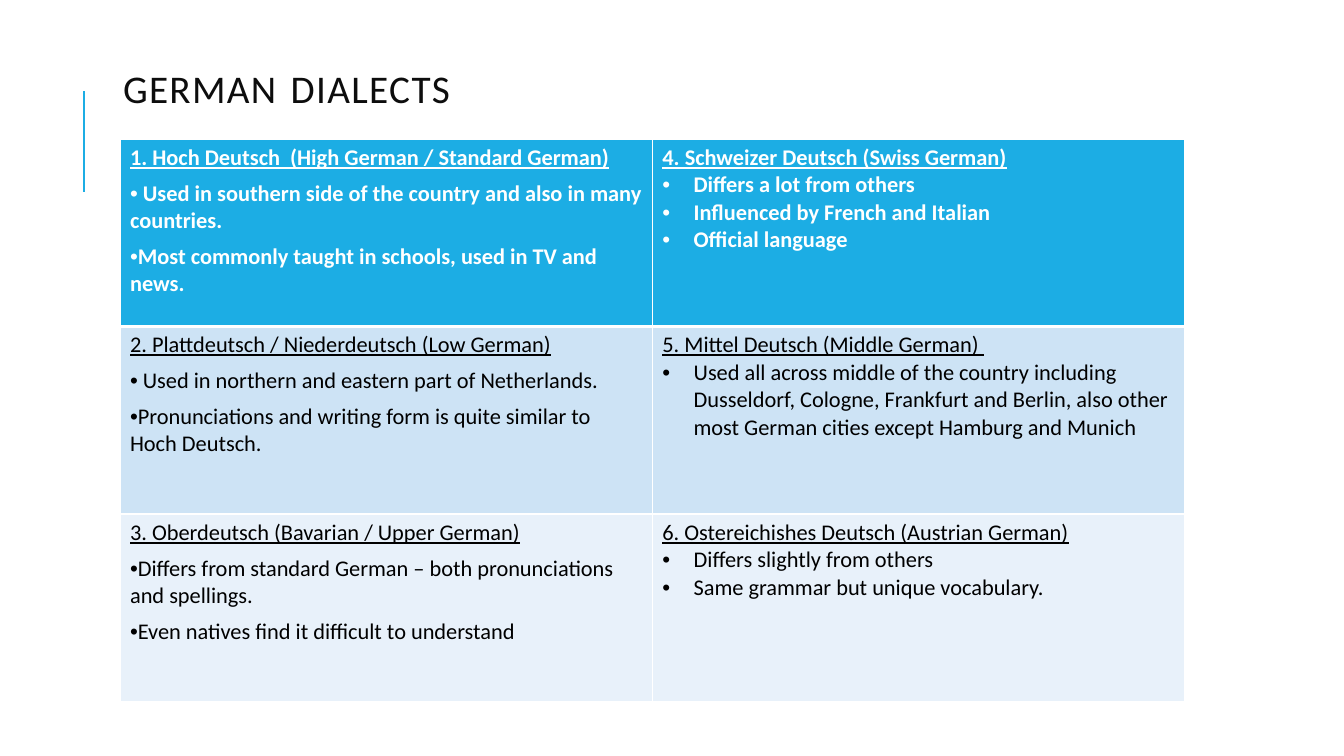
"""Build the slide that compares six German dialects."""
from lxml import etree
from pptx import Presentation
from pptx.dml.color import RGBColor
from pptx.enum.shapes import MSO_CONNECTOR
from pptx.enum.text import MSO_ANCHOR, PP_ALIGN
from pptx.oxml.ns import qn
from pptx.util import Inches, Pt

STRAIGHT = MSO_CONNECTOR.STRAIGHT
MIDDLE = MSO_ANCHOR.MIDDLE
LEFT = PP_ALIGN.LEFT
TITLE_ONLY = 5

TITLE = [("GERMAN", "title"), (" ", "title_gap"), ("DIALECTS", "title")]
DIALECTS = [
    [
        ("1. Hoch Deutsch  (High German / Standard German)", [
            " Used in southern side of the country and also in many countries.",
            "Most commonly taught in schools, used in TV and news.",
        ]),
        ("4. Schweizer Deutsch (Swiss German)", [
            "Differs a lot from others",
            "Influenced by French and Italian",
            "Official language",
        ]),
    ],
    [
        ("2. Plattdeutsch / Niederdeutsch (Low German)", [
            " Used in northern and eastern part of Netherlands.",
            "Pronunciations and writing form is quite similar to Hoch Deutsch.",
        ]),
        ("5. Mittel Deutsch (Middle German) ", [
            "Used all across middle of the country including Dusseldorf, Cologne, "
            "Frankfurt and Berlin, also other most German cities except Hamburg "
            "and Munich",
        ]),
    ],
    [
        ("3. Oberdeutsch (Bavarian / Upper German)", [
            "Differs from standard German – both pronunciations and spellings.",
            "Even natives find it difficult to understand",
        ]),
        ("6. Ostereichishes Deutsch (Austrian German)", [
            "Differs slightly from others",
            "Same grammar but unique vocabulary.",
        ]),
    ],
]

THEME = {
    "font": "Calibri",
    "accent": "1CADE4",
    "title_ink": "0D0D0D",
    "border": "FFFFFF",
    "row_fills": ["1CADE4", "CDE3F5", "E8F1FA"],
    "row_inks": ["FFFFFF", "000000", "000000"],
    "row_edges": [1, 3, 1, 1],
    "sizes": {"title": 28, "title_gap": 36, "body": 16},
}
COLUMN_SPACING = [Pt(6), Pt(0)]
COLUMN_INDENTS = [Inches(0), Inches(0.31)]
TITLE_BOX = {"left": Inches(1.12), "top": Inches(0.64),
             "width": Inches(10.63), "height": Inches(0.48)}
TABLE_BOX = (Inches(1.19), Inches(1.38), Inches(10.56), Inches(5.58))
RULE_ENDS = (Inches(0.83), Inches(1.9), Inches(0.83), Inches(0.9))


def apply_format(target, values):
    """Set each named attribute on the target."""
    for name, value in values.items():
        setattr(target, name, value)


def add_run(paragraph, text, role, ink, **emphasis):
    """Add text in the size of its role and return the run."""
    run = paragraph.add_run()
    run.text = text
    apply_format(run.font, {"name": THEME["font"],
                            "size": Pt(THEME["sizes"][role]), **emphasis})
    run.font.color.rgb = RGBColor.from_string(ink)
    return run


def add_bullet(paragraph, indent):
    """Give a paragraph a round bullet with a hanging indent."""
    properties = paragraph._p.get_or_add_pPr()
    properties.set("marL", str(indent))
    properties.set("indent", str(-indent))
    etree.SubElement(properties, qn("a:buFont"), typeface="Arial")
    etree.SubElement(properties, qn("a:buChar"), char="•")


def add_borders(cell, row):
    """Draw the four borders of a cell in the given row."""
    top, bottom = THEME["row_edges"][row:row + 2]
    properties = cell._tc.get_or_add_tcPr()
    for side, width in {"L": 1, "R": 1, "T": top, "B": bottom}.items():
        border = etree.SubElement(properties, qn(f"a:ln{side}"), w=str(Pt(width)))
        fill = etree.SubElement(border, qn("a:solidFill"))
        etree.SubElement(fill, qn("a:srgbClr"), val=THEME["border"])


def fill_cell(cell, row, column, dialect):
    """Write one dialect with its traits into a cell."""
    heading, traits = dialect
    add_borders(cell, row)
    cell.fill.solid()
    cell.fill.fore_color.rgb = RGBColor.from_string(THEME["row_fills"][row])
    frame = cell.text_frame
    for position, text in enumerate([heading, *traits]):
        is_heading = position == 0
        paragraph = frame.paragraphs[0] if is_heading else frame.add_paragraph()
        paragraph.space_before = COLUMN_SPACING[column]
        if not is_heading:
            add_bullet(paragraph, COLUMN_INDENTS[column])
        add_run(paragraph, text, "body", THEME["row_inks"][row],
                bold=row == 0, underline=is_heading)


def add_title(slide):
    """Place and write the slide title."""
    title = slide.shapes.title
    apply_format(title, TITLE_BOX)
    apply_format(title.text_frame, {"vertical_anchor": MIDDLE, "word_wrap": True})
    paragraph = title.text_frame.paragraphs[0]
    apply_format(paragraph, {"alignment": LEFT, "line_spacing": 0.8})
    for text, role in TITLE:
        run = add_run(paragraph, text, role, THEME["title_ink"])
        run._r.get_or_add_rPr().set("spc", "100")


def add_rule(slide):
    """Draw the accent line beside the title."""
    rule = slide.shapes.add_connector(STRAIGHT, *RULE_ENDS)
    rule.line.width = Pt(1.5)
    rule.line.color.rgb = RGBColor.from_string(THEME["accent"])
    etree.SubElement(rule._element.spPr, qn("a:effectLst"))


def add_dialects(slide):
    """Add the dialect table with equal rows and columns."""
    rows, columns = len(DIALECTS), len(DIALECTS[0])
    table = slide.shapes.add_table(rows, columns, *TABLE_BOX).table
    for row, dialects in enumerate(DIALECTS):
        for column, dialect in enumerate(dialects):
            fill_cell(table.cell(row, column), row, column, dialect)


def main():
    """Build and save the slide."""
    deck = Presentation()
    apply_format(deck, {"slide_width": Inches(13.33), "slide_height": Inches(7.5)})
    slide = deck.slides.add_slide(deck.slide_layouts[TITLE_ONLY])
    add_rule(slide)
    add_title(slide)
    add_dialects(slide)
    deck.save("out.pptx")


if __name__ == "__main__":
    main()
